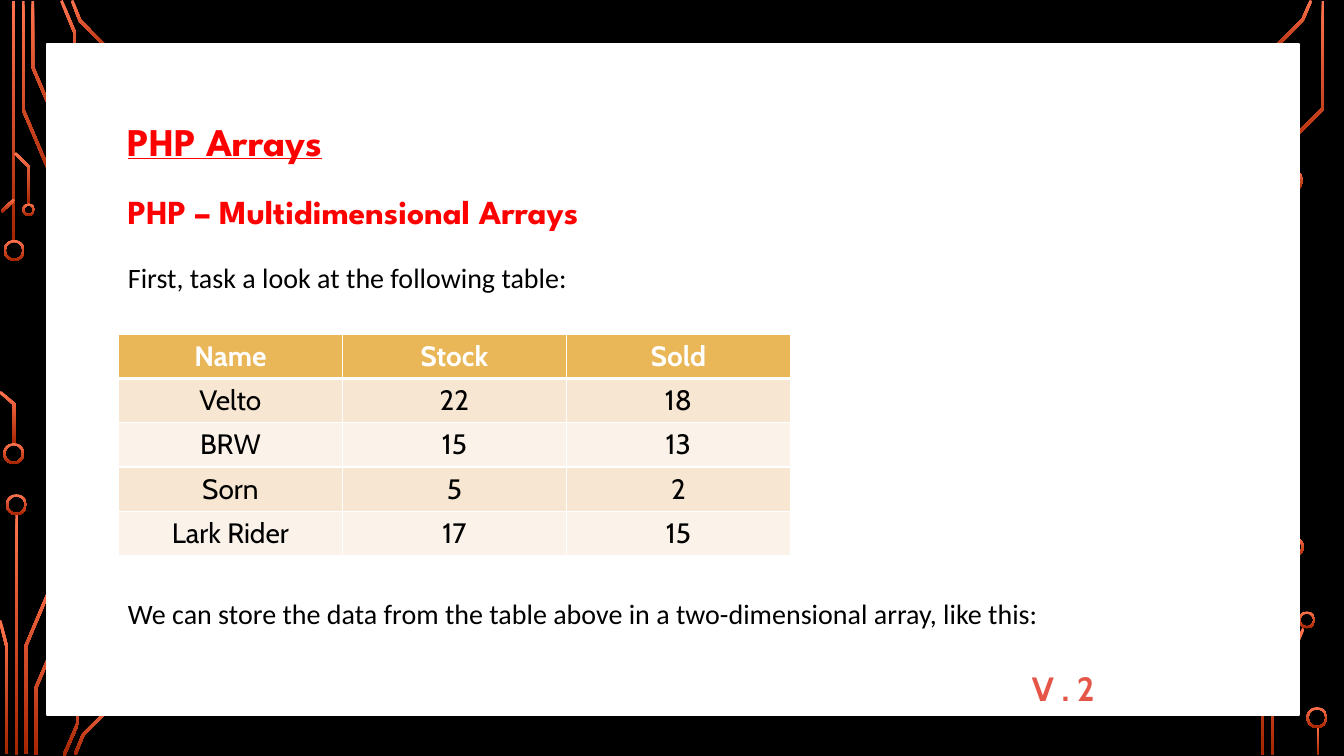
from math import hypot

from pptx import Presentation
from pptx.dml.color import RGBColor
from pptx.enum.shapes import MSO_SHAPE as SHAPE
from pptx.enum.text import MSO_ANCHOR as ANCHOR, MSO_AUTO_SIZE as FIT, PP_ALIGN as ALIGN
from pptx.oxml import parse_xml
from pptx.oxml.ns import nsdecls
from pptx.util import Pt

BLACK = RGBColor(0, 0, 0)
WHITE = RGBColor(255, 255, 255)
RED = RGBColor(255, 0, 0)
CORAL = RGBColor(0xE5, 0x55, 0x48)
GLOW = RGBColor(0xFF, 0x74, 0x4E)
RUST = RGBColor(0xA6, 0x24, 0x00)
GOLD = RGBColor(0xE9, 0xB7, 0x58)
SAND = RGBColor(0xF7, 0xE6, 0xD1)
CREAM = RGBColor(0xFB, 0xF3, 0xEA)

TITLE = dict(name="League Spartan", size=Pt(28), bold=True, underline=True)
SUBTITLE = dict(name="League Spartan", size=Pt(24), bold=True)
VERSION = dict(name="Cabin", size=Pt(24), bold=True)
BODY = dict(name="Calibri", size=Pt(20))
HEAD_CELL = dict(name="Cabin", size=Pt(20), bold=True)
DATA_CELL = dict(name="Cabin", size=Pt(20), bold=False)

TRACE_WIDTH = 2
RING_WIDTH = 1.5
TRACES = [
    [(9.7, 0.7), (9.7, 172.8)],
    [(16.6, 0.7), (16.6, 78.5), (43.9, 142.9)],
    [(23.4, 0.7), (23.4, 48), (51.1, 112.7)],
    [(43.9, 0.4), (53.6, 23.8), (53.6, 72)],
    [(51.5, 0.4), (57.2, 14.8), (83.2, 41)],
    [(1.1, 151.2), (10.1, 142.6)],
    [(0, 280), (10.1, 288.7), (10.1, 317.5)],
    [(10.8, 109.4), (20.9, 119.5), (20.9, 146.2)],
    [(11.9, 367.2), (11.9, 539.3)],
    [(18.4, 538.6), (18.4, 461.5), (45.7, 397)],
    [(0, 443.2), (4.7, 461.5), (4.7, 538.6)],
    [(25.6, 539.3), (25.6, 491.4), (52.9, 427.3)],
    [(45.7, 539.6), (55.8, 516.2), (55.8, 468)],
    [(53.6, 539), (59.4, 524.9), (85, 499)],
    [(905, 40), (930.6, 14), (936.4, 0.4)],
    [(923, 121.7), (923, 99.7), (945, 77.4), (945, 0.7)],
    [(909, 539.3), (909, 499.3), (931, 449)],
    [(901.8, 539.3), (901.8, 441.7), (924, 420), (924, 397.4)],
    [(941.4, 519), (941.4, 539.3)],
]
RINGS = [
    (10.1, 178.9, 15), (9.8, 324, 15), (20.5, 149.8, 9), (11.7, 360.5, 15),
    (923.4, 128.9, 15), (933.5, 442.8, 12.2), (923.8, 390.6, 15), (940.7, 512.6, 15),
]
ROWS = [
    ("Name", "Stock", "Sold"),
    ("Velto", "22", "18"),
    ("BRW", "15", "13"),
    ("Sorn", "5", "2"),
    ("Lark Rider", "17", "15"),
]


def format_font(font, values, color):
    """Apply a dict of font values and a colour."""
    for key, value in values.items():
        setattr(font, key, value)
    font.color.rgb = color


def place(sp, x, y, w, h):
    """Move a shape into a box given in points."""
    for key, value in dict(left=x, top=y, width=w, height=h).items():
        setattr(sp, key, Pt(value))


def fill_text(sp, texts, values, color, gap=0):
    """Write left-aligned paragraphs with a gap between them."""
    tf = sp.text_frame
    for key, value in dict(word_wrap=True, auto_size=FIT.NONE, vertical_anchor=ANCHOR.TOP).items():
        setattr(tf, key, value)
    for i, text in enumerate(texts):
        p = tf.add_paragraph() if i else tf.paragraphs[0]
        settings = dict(alignment=ALIGN.LEFT, line_spacing=1.0, space_before=Pt(gap if i else 0))
        for key, value in settings.items():
            setattr(p, key, value)
        r = p.add_run()
        r.text = text
        format_font(r.font, values, color)


def ribbon(points, width):
    """Return the outline of a mitred band around a centre line."""
    normals = []
    for (x1, y1), (x2, y2) in zip(points, points[1:]):
        length = hypot(x2 - x1, y2 - y1)
        normals.append(((y1 - y2) / length, (x2 - x1) / length))
    near, far = [], []
    for (x, y), (ax, ay), (bx, by) in zip(points, normals[:1] + normals, normals + normals[-1:]):
        k = width / 2 / (1 + ax * bx + ay * by)
        dx, dy = k * (ax + bx), k * (ay + by)
        near.append((Pt(x + dx), Pt(y + dy)))
        far.append((Pt(x - dx), Pt(y - dy)))
    return near + far[::-1]


def add_circuit(s):
    """Draw the glowing traces and rings along the slide edges."""
    parts = []
    for points in TRACES:
        outline = ribbon(points, TRACE_WIDTH)
        builder = s.shapes.build_freeform(*outline[0])
        builder.add_line_segments(outline[1:], close=True)
        parts.append(builder.convert_to_shape())
    for cx, cy, d in RINGS:
        sp = s.shapes.add_shape(SHAPE.DONUT, Pt(cx - d / 2), Pt(cy - d / 2), Pt(d), Pt(d))
        sp.adjustments[0] = RING_WIDTH / d
        parts.append(sp)
    for sp in parts:
        sp.shadow.inherit = False
        sp.line.fill.background()
        sp.fill.gradient()
        sp.fill.gradient_angle = 270
        for stop, color in zip(sp.fill.gradient_stops, (GLOW, RUST)):
            stop.color.rgb = color


def add_panel(s, x, y, w, h):
    """Draw the white panel and return it."""
    sp = s.shapes.add_shape(SHAPE.RECTANGLE, Pt(x), Pt(y), Pt(w), Pt(h))
    sp.shadow.inherit = False
    sp.fill.solid()
    sp.fill.fore_color.rgb = WHITE
    sp.line.color.rgb = WHITE
    sp.line.width = Pt(1.25)
    return sp


def add_label(s, text, x, y, w, h, values, color):
    """Add a one-line text box."""
    sp = s.shapes.add_textbox(Pt(x), Pt(y), Pt(w), Pt(h))
    fill_text(sp, [text], values, color)


def add_body(body, x, y, w, h):
    """Fill the body placeholder with the sentences around the table."""
    place(body, x, y, w, h)
    texts = ["First, task a look at the following table:",
             "We can store the data from the table above in a two-dimensional array, like this:"]
    fill_text(body, texts, BODY, BLACK, gap=216.3)
    for p in body.text_frame.paragraphs:
        pPr = p._p.get_or_add_pPr()
        pPr.set("marL", "0")
        pPr.set("indent", "0")
        pPr.append(parse_xml(f"<a:buNone {nsdecls('a')}/>"))


def add_borders(cell, bottom):
    """Give a cell white borders, with its own bottom width."""
    tcPr = cell._tc.get_or_add_tcPr()
    for side, width in dict(L=1, R=1, T=1, B=bottom).items():
        tcPr.append(parse_xml(
            f'<a:ln{side} {nsdecls("a")} w="{Pt(width)}"><a:solidFill>'
            f'<a:srgbClr val="{WHITE}"/></a:solidFill></a:ln{side}>'))


def add_stock_table(s, x, y, w, h):
    """Add the stock table with a gold header and banded rows."""
    table = s.shapes.add_table(len(ROWS), len(ROWS[0]), Pt(x), Pt(y), Pt(w), Pt(h)).table
    for i, row in enumerate(ROWS):
        for j, text in enumerate(row):
            cell = table.cell(i, j)
            add_borders(cell, 1 if i else 3)
            cell.fill.solid()
            cell.fill.fore_color.rgb = (SAND if i % 2 else CREAM) if i else GOLD
            p = cell.text_frame.paragraphs[0]
            p.alignment = ALIGN.CENTER
            r = p.add_run()
            r.text = text
            format_font(r.font, DATA_CELL if i else HEAD_CELL, BLACK if i else WHITE)


def add_array_slide(prs):
    """Build the slide on multidimensional arrays."""
    s = prs.slides.add_slide(prs.slide_layouts[1])
    s.background.fill.solid()
    s.background.fill.fore_color.rgb = BLACK
    title, body = s.placeholders
    add_circuit(s)
    panel = add_panel(s, 33.8, 31.7, 894.2, 478.8)
    for sp in (body, title):
        panel.element.addnext(sp.element)
    place(title, 84.2, 80, 598, 41)
    fill_text(title, ["PHP Arrays"], TITLE, RED)
    add_label(s, "PHP – Multidimensional Arrays", 84.2, 132.5, 598, 36, SUBTITLE, RED)
    add_body(body, 84.2, 182.2, 808, 298)
    add_stock_table(s, 84.6, 238.8, 480, 156)
    add_label(s, "V . 2", 730, 473.8, 162, 36, VERSION, CORAL)


def main():
    """Create and save the presentation."""
    prs = Presentation()
    prs.slide_width, prs.slide_height = Pt(960), Pt(540)
    add_array_slide(prs)
    prs.save("out.pptx")


if __name__ == "__main__":
    main()
